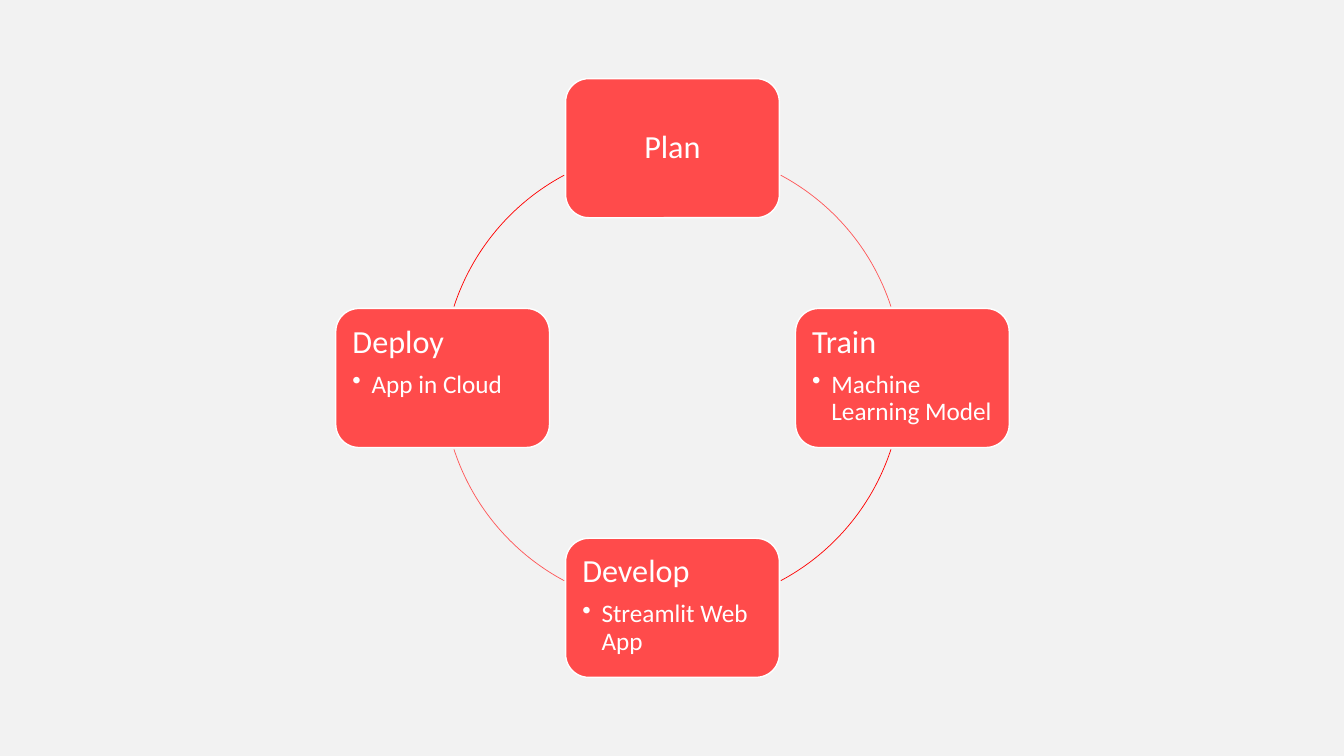
from dataclasses import dataclass
from math import cos, radians, sin

from lxml.etree import SubElement
from pptx import Presentation
from pptx.dml.color import RGBColor
from pptx.enum.shapes import MSO_SHAPE as Preset
from pptx.enum.text import MSO_ANCHOR as Anchor, PP_ALIGN as Align
from pptx.oxml.ns import qn
from pptx.slide import Slide
from pptx.text.text import TextFrame
from pptx.util import Inches, Pt


@dataclass(frozen=True)
class Theme:
    """Colours, font and type sizes."""
    page: RGBColor = RGBColor(0xF2, 0xF2, 0xF2)
    box: RGBColor = RGBColor(0xFF, 0x4B, 0x4B)
    text: RGBColor = RGBColor(0xFF, 0xFF, 0xFF)
    arc_light: RGBColor = RGBColor(0xFF, 0x56, 0x57)
    arc_strong: RGBColor = RGBColor(0xFF, 0x00, 0x00)
    font: str = "Calibri"
    heading: float = 23
    detail: float = 18


@dataclass(frozen=True)
class Stage:
    """One step of the cycle and the arc that leaves it."""
    title: str
    detail: str
    angle: int
    arc_start: float
    arc_color: RGBColor


THEME = Theme()
CENTER_X, CENTER_Y, RADIUS = 6.67, 3.75, 2.28
BOX_WIDTH, BOX_HEIGHT = 2.12, 1.38
ARC_SWEEP = 43.8
STAGES = (
    Stage("Plan", "", 270, 298.1, THEME.arc_light),
    Stage("Train", "Machine Learning Model", 0, 18.1, THEME.arc_strong),
    Stage("Develop", "Streamlit Web App", 90, 118.1, THEME.arc_light),
    Stage("Deploy", "App in Cloud", 180, 198.1, THEME.arc_strong),
)


def write_line(frame: TextFrame, text: str, size: float, after: float, bullet: bool = False) -> None:
    """Write one paragraph, using the empty first one when it is free."""
    para = frame.add_paragraph() if frame.text else frame.paragraphs[0]
    para.alignment = Align.LEFT
    para.line_spacing = 0.9
    para.space_after = Pt(after)
    if bullet:
        para.level = 1
        properties = para._p.get_or_add_pPr()
        properties.set("marL", str(Inches(0.19)))
        properties.set("indent", str(-Inches(0.19)))
        SubElement(properties, qn("a:buChar"), char="•")
    span = para.add_run()
    span.text = text
    span.font.name = THEME.font
    span.font.size = Pt(size)
    span.font.color.rgb = THEME.text


def draw_box(page: Slide, stage: Stage) -> None:
    """Draw a stage box at its angle on the ring."""
    center_x = CENTER_X + RADIUS * cos(radians(stage.angle))
    center_y = CENTER_Y + RADIUS * sin(radians(stage.angle))
    box = page.shapes.add_shape(
        Preset.ROUNDED_RECTANGLE,
        Inches(center_x - BOX_WIDTH / 2), Inches(center_y - BOX_HEIGHT / 2),
        Inches(BOX_WIDTH), Inches(BOX_HEIGHT))
    box.shadow.inherit = False
    box.fill.solid()
    box.fill.fore_color.rgb = THEME.box
    box.line.color.rgb = THEME.text
    box.line.width = Pt(1)
    frame = box.text_frame
    frame.word_wrap = True
    frame.margin_left = frame.margin_right = Inches(0.1)
    frame.margin_top = frame.margin_bottom = Inches(0.1)
    frame.vertical_anchor = Anchor.TOP if stage.detail else Anchor.MIDDLE
    write_line(frame, stage.title, THEME.heading, 8)
    if stage.detail:
        write_line(frame, stage.detail, THEME.detail, 2.7, bullet=True)
    else:
        frame.paragraphs[0].alignment = Align.CENTER


def draw_arc(page: Slide, stage: Stage) -> None:
    """Draw the arc from a stage to the next one."""
    arc = page.shapes.add_shape(
        Preset.ARC, Inches(CENTER_X - RADIUS), Inches(CENTER_Y - RADIUS),
        Inches(2 * RADIUS), Inches(2 * RADIUS))
    arc.adjustments[0] = stage.arc_start * 0.6
    arc.adjustments[1] = (stage.arc_start + ARC_SWEEP) * 0.6
    arc.shadow.inherit = False
    arc.fill.background()
    arc.line.color.rgb = stage.arc_color
    arc.line.width = Pt(0.5)


def main() -> None:
    """Build and save the cycle slide."""
    deck = Presentation()
    deck.slide_width, deck.slide_height = Inches(13.33), Inches(7.5)
    page = deck.slides.add_slide(deck.slide_layouts[6])
    page.background.fill.solid()
    page.background.fill.fore_color.rgb = THEME.page
    for stage in STAGES:
        draw_box(page, stage)
        draw_arc(page, stage)
    deck.save("out.pptx")


if __name__ == "__main__":
    main()
